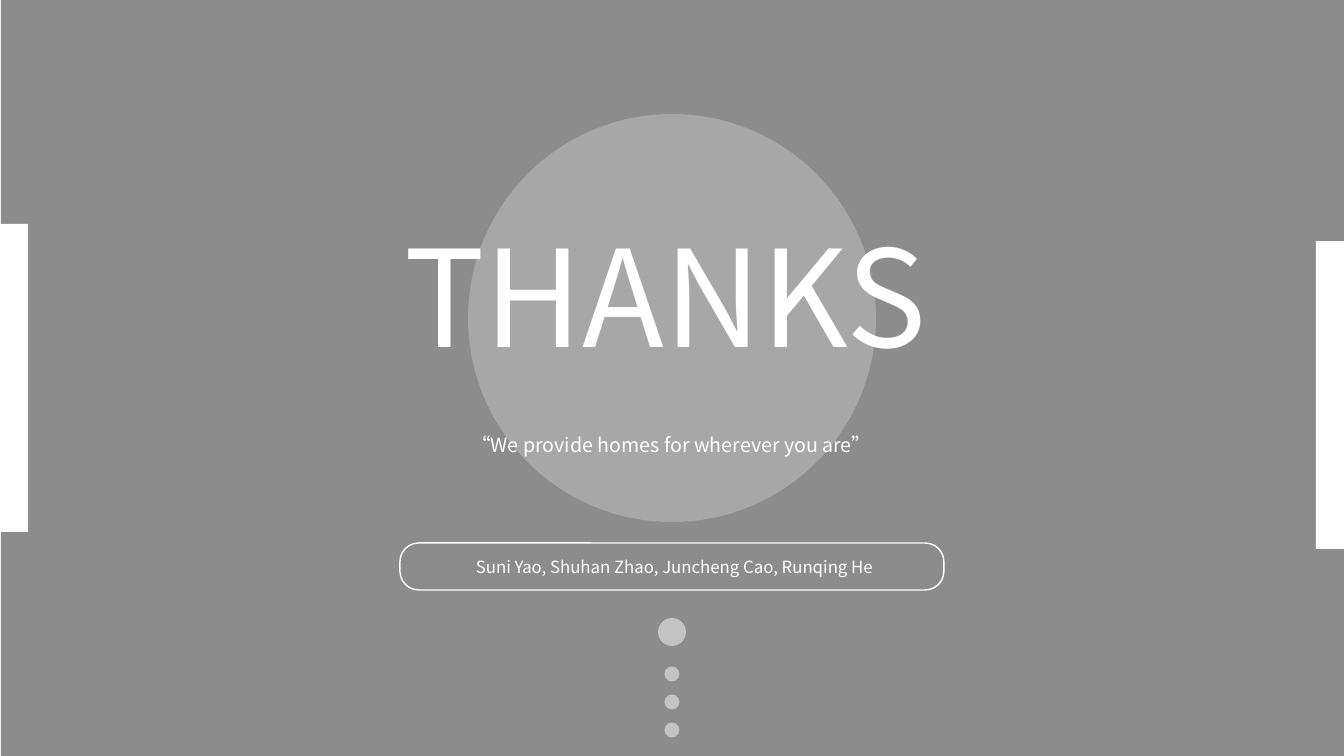
from pptx import Presentation
from pptx.dml.color import RGBColor
from pptx.enum.shapes import MSO_SHAPE as Shape
from pptx.enum.text import MSO_ANCHOR as Anchor, MSO_AUTO_SIZE as AutoSize, PP_ALIGN as Align
from pptx.oxml.ns import qn
from pptx.util import Emu, Pt
from lxml.etree import SubElement

COLORS = {"white": "FFFFFF", "black": "000000"}
WIDTH, HEIGHT = 1344, 756
CENTER = WIDTH // 2


class SlideBuilder:
    font = "Noto Sans CJK SC"
    scale = 914400 / 100.8

    def __init__(self, deck):
        deck.slide_width = self.px(WIDTH)
        deck.slide_height = self.px(HEIGHT)
        self.page = deck.slides.add_slide(deck.slide_layouts[0])

    def px(self, length):
        return Emu(round(length * self.scale))

    def color(self, name):
        return RGBColor.from_string(COLORS[name])

    def shape(self, kind, left, top, width, height, fill=None, opacity=100, line=None):
        box = self.page.shapes.add_shape(kind, *map(self.px, (left, top, width, height)))
        box.shadow.inherit = False
        if fill:
            box.fill.solid()
            box.fill.fore_color.rgb = self.color(fill)
            if opacity < 100:
                tint = box.fill._xPr.find(qn("a:solidFill"))[0]
                SubElement(tint, qn("a:alpha")).set("val", str(opacity * 1000))
        else:
            box.fill.background()
        if line:
            box.line.color.rgb = self.color(line)
            box.line.width = Pt(1)
        else:
            box.line.fill.background()
        return box

    def circle(self, middle, diameter, opacity):
        self.shape(Shape.OVAL, CENTER - diameter / 2, middle - diameter / 2,
                   diameter, diameter, "white", opacity)

    def text(self, box, wording, size, align, spacing=1.0):
        frame = box.text_frame
        frame.word_wrap = True
        frame.auto_size = AutoSize.SHAPE_TO_FIT_TEXT
        frame.vertical_anchor = Anchor.TOP
        para = frame.paragraphs[0]
        para.alignment = align
        para.line_spacing = spacing
        para.space_before = Pt(0)
        span = para.add_run()
        span.text = wording
        span.font.name = self.font
        span.font.size = Pt(size)
        span.font.color.rgb = self.color("white")

    def placeholder(self, index, left, top, width, height, wording, size, spacing=1.0):
        box = self.page.placeholders[index]
        box.left, box.top, box.width, box.height = map(self.px, (left, top, width, height))
        box.element.getparent().append(box.element)
        self.text(box, wording, size, Align.CENTER, spacing)

    def label(self, left, top, width, height, wording, size):
        box = self.page.shapes.add_textbox(*map(self.px, (left, top, width, height)))
        self.text(box, wording, size, Align.LEFT)


def main():
    deck = Presentation()
    slide = SlideBuilder(deck)
    slide.shape(Shape.RECTANGLE, 1, 0, WIDTH, HEIGHT, "black", 45)
    slide.circle(632, 28, 48)
    for step in range(3):
        slide.circle(674 + 28 * step, 15, 48)
    slide.circle(318, 408, 24)
    slide.placeholder(0, 75, 208, 1181, 173, "THANKS", 96)
    for left, top in ((0, 224), (WIDTH - 28, 241)):
        slide.shape(Shape.RECTANGLE, left, top, 28, 308, "white")
    slide.placeholder(1, 265, 404, 813, 50, "“We provide homes for wherever you are”", 14, 2.0)
    frame = slide.shape(Shape.ROUNDED_RECTANGLE, 400, 543, 544, 47, line="white")
    frame.adjustments[0] = 0.4
    slide.label(466, 552, 479, 30, "Suni Yao, Shuhan Zhao, Juncheng Cao, Runqing He", 12)
    deck.save("out.pptx")


if __name__ == "__main__":
    main()
